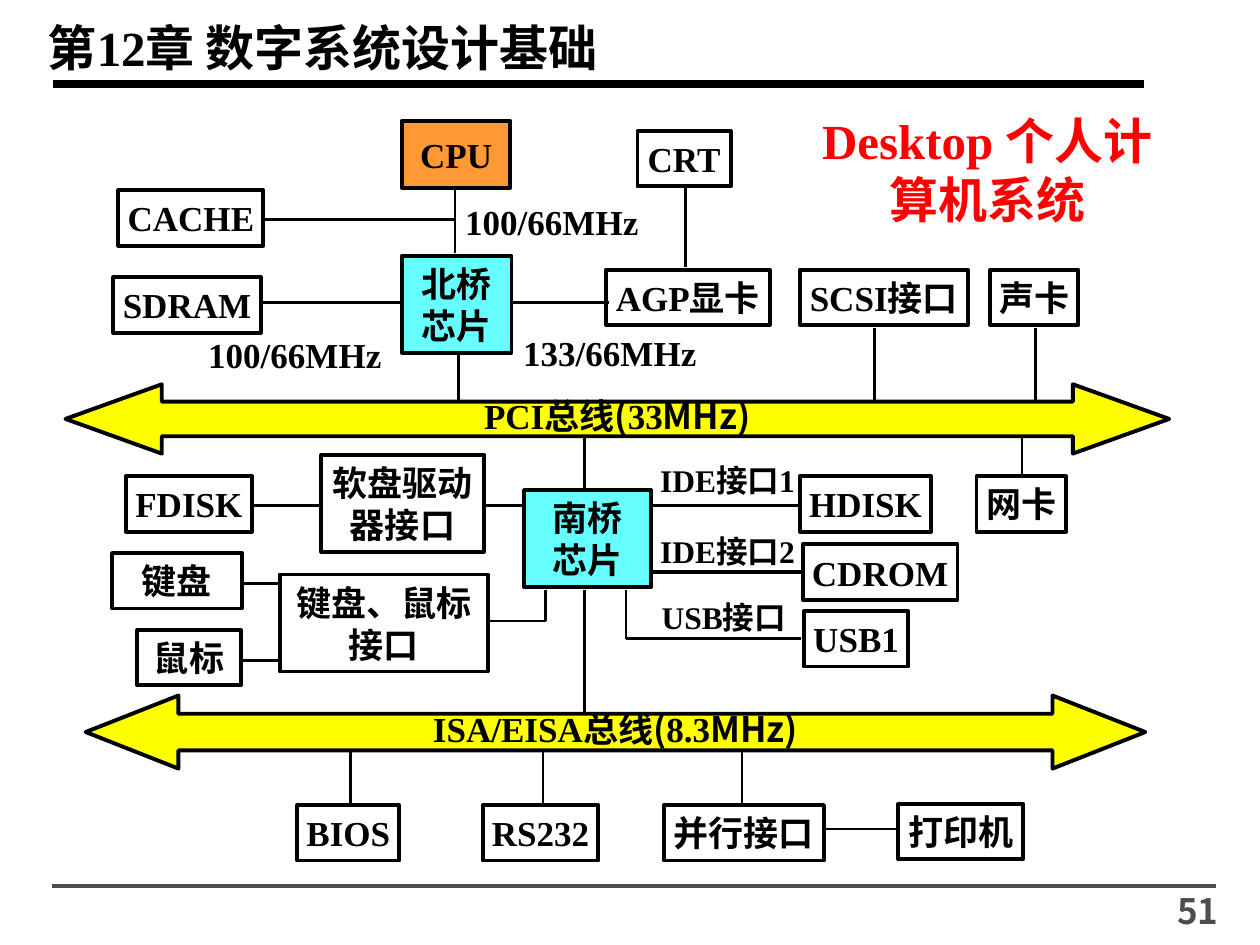
import pptx
import pptx.util
import pptx.dml.color
import pptx.enum.shapes
import pptx.enum.text
import pptx.oxml.ns
import lxml.etree

RGBColor = pptx.dml.color.RGBColor
MSO_SHAPE = pptx.enum.shapes.MSO_SHAPE
PP_ALIGN = pptx.enum.text.PP_ALIGN
MSO_ANCHOR = pptx.enum.text.MSO_ANCHOR
qn = pptx.oxml.ns.qn

BLACK = RGBColor(0x00, 0x00, 0x00)
GRAY = RGBColor(0x4D, 0x4D, 0x4D)
RED = RGBColor(0xFF, 0x00, 0x00)
ORANGE = RGBColor(0xFF, 0x99, 0x33)
CYAN = RGBColor(0x66, 0xFF, 0xFF)
YELLOW = RGBColor(0xFF, 0xFF, 0x00)

LATIN = "Times New Roman"
HAN = "Noto Sans CJK SC"

COLUMNS, ROWS = 100, 75
WIDTH, HEIGHT = pptx.util.Inches(10), pptx.util.Inches(7.5)
ONE_LINE, TWO_LINES = 4.4, 7.7

BOXES = [
    ("CACHE", 9.4, 15.1, 11.5), ("SDRAM", 9, 22, 11.7),
    ("CRT", 50.6, 10.4, 7.4), ("AGP显卡", 48.1, 21.4, 13),
    ("SCSI接口", 63.5, 21.4, 13.3), ("声卡", 78.6, 21.4, 7),
    ("FDISK", 10, 37.8, 10), ("键盘", 8.9, 43.9, 10.3), ("鼠标", 10.9, 50, 8.2),
    ("HDISK", 63.5, 37.8, 10.4), ("CDROM", 63.7, 43.2, 12.3),
    ("USB1", 63.8, 48.5, 8.3), ("网卡", 77.5, 37.8, 7.1),
    ("BIOS", 23.6, 63.9, 8.1), ("RS232", 38.3, 63.9, 9.2),
    ("并行接口", 52.7, 63.9, 12.7), ("打印机", 71.3, 63.8, 9.9),
]
TALL_BOXES = [
    ("软盘驱动器接口", 25.5, 36.1, 12.9, None),
    ("键盘、鼠标接口", 22.2, 45.6, 16.5, None),
    ("南桥\n芯片", 41.6, 38.9, 10.1, CYAN),
    ("北桥\n芯片", 31.9, 20.3, 8.7, CYAN),
]
ACROSS = [
    (20.8, 36.1, 17.4), (20.6, 32, 24), (40.6, 48.3, 24),
    (51.7, 63.6, 40.1), (49.7, 63.6, 50.7), (38.3, 41.7, 40.1),
    (38.6, 43.3, 49.3), (20, 25.6, 40.1), (19.2, 22.2, 46.3),
    (19.2, 22.2, 52.4), (65.3, 71.4, 65.8),
]
DOWN = [
    (36.1, 14.9, 20.1), (36.4, 28.2, 32.1), (54.4, 14.9, 21.2),
    (69.4, 26, 32.1), (82.2, 26, 32.1), (81.1, 34.6, 37.6),
    (46.4, 34.6, 38.7), (46.4, 46.8, 56.8), (49.7, 46.8, 50.7),
    (43.3, 46.8, 49.3), (27.8, 59.6, 63.7), (43.1, 59.6, 63.7),
    (58.9, 59.6, 63.7),
]
LABELS = [
    ("IDE接口1", 51.1, 36.6, 13.3, 3, 18, BLACK),
    ("IDE接口2", 51.1, 42.2, 13.3, 3, 18, BLACK),
    ("USB接口", 50.8, 47.5, 13.3, 3, 18, BLACK),
    ("100/66MHz", 35.8, 15.9, 16, 3.3, 20, BLACK),
    ("133/66MHz", 40.4, 26.3, 16, 3.3, 20, BLACK),
    ("100/66MHz", 15.4, 26.5, 16, 3.3, 20, BLACK),
    ("Desktop 个人计算机系统", 65.1, 8.8, 26.5, 9.3, 28, RED),
]


def col(n):
    return round(WIDTH * n / COLUMNS)


def row(n):
    return round(HEIGHT * n / ROWS)


def area(x, y, w, h):
    return col(x), row(y), col(w), row(h)


def set_frame(tf, anchor, side, edge):
    tf.word_wrap = True
    tf.auto_size = pptx.enum.text.MSO_AUTO_SIZE.NONE
    tf.vertical_anchor = anchor
    tf.margin_left = tf.margin_right = col(side)
    tf.margin_top = tf.margin_bottom = row(edge)


def style(p, size, color=BLACK, align=PP_ALIGN.CENTER, latin=LATIN):
    p.alignment = align
    f = p.font
    f.size, f.bold, f.name = pptx.util.Pt(size), True, latin
    f.color.rgb = color
    props = p._p.pPr.find(qn("a:defRPr"))
    lxml.etree.SubElement(props, qn("a:ea")).set("typeface", HAN)


def outlined(s, kind, x, y, w, h, fill):
    sp = s.shapes.add_shape(kind, *area(x, y, w, h))
    sp.shadow.inherit = False
    if fill is None:
        sp.fill.background()
    else:
        sp.fill.solid()
        sp.fill.fore_color.rgb = fill
    sp.line.color.rgb = BLACK
    sp.line.width = pptx.util.Pt(2.25)
    set_frame(sp.text_frame, MSO_ANCHOR.MIDDLE, 0, 0.5)
    return sp


def add_box(s, text, x, y, w, h=ONE_LINE, fill=None):
    tf = outlined(s, MSO_SHAPE.RECTANGLE, x, y, w, h, fill).text_frame
    tf.text = text
    for p in tf.paragraphs:
        style(p, 20)


def add_bus(s, name, speed, x, y, w, h, head):
    sp = outlined(s, MSO_SHAPE.LEFT_RIGHT_ARROW, x, y, w, h, YELLOW)
    sp.adjustments[0], sp.adjustments[1] = 0.5, head
    p = sp.text_frame.paragraphs[0]
    p.line_spacing = 0.85
    style(p, 20)
    for text, font in ((name, LATIN), ("总线(", HAN), (speed, LATIN), ("MHz)", HAN)):
        r = p.add_run()
        r.text = text
        r.font.name = font


def add_line(s, x1, y1, x2, y2, width=1.5, color=BLACK):
    ln = s.shapes.add_connector(pptx.enum.shapes.MSO_CONNECTOR.STRAIGHT,
                                col(x1), row(y1), col(x2), row(y2))
    ln.line.color.rgb = color
    ln.line.width = pptx.util.Pt(width)
    lxml.etree.SubElement(ln._element.spPr, qn("a:effectLst"))


def add_label(s, text, x, y, w, h, size, color):
    tf = s.shapes.add_textbox(*area(x, y, w, h)).text_frame
    set_frame(tf, MSO_ANCHOR.MIDDLE, 0, 0)
    tf.text = text
    style(tf.paragraphs[0], size, color)


def add_title(s, text):
    sp = s.shapes.title
    sp.left, sp.top, sp.width, sp.height = area(2.8, 0.9, 62.4, 5.7)
    set_frame(sp.text_frame, MSO_ANCHOR.TOP, 1, 0.5)
    sp.text_frame.text = text
    style(sp.text_frame.paragraphs[0], 28, align=PP_ALIGN.LEFT)


def add_page_number(s, text):
    tf = s.shapes.add_textbox(*area(83.8, 70.1, 13.9, 3.9)).text_frame
    set_frame(tf, MSO_ANCHOR.TOP, 1, 0.5)
    tf.text = text
    style(tf.paragraphs[0], 20, GRAY, PP_ALIGN.RIGHT, HAN)


def main():
    prs = pptx.Presentation()
    prs.slide_width, prs.slide_height = WIDTH, HEIGHT
    s = prs.slides.add_slide(prs.slide_layouts[5])
    add_title(s, "第12章 数字系统设计基础")
    add_line(s, 4.2, 6.7, 90.8, 6.7, 4.5)
    add_line(s, 4.1, 70.3, 96.5, 70.3, 2, GRAY)
    for x1, x2, y in ACROSS:
        add_line(s, x1, y, x2, y)
    add_line(s, 51.7, 45.4, 63.9, 45.4, 2.25)
    for x, y1, y2 in DOWN:
        add_line(s, x, y1, x, y2)
    add_box(s, "CPU", 31.9, 9.6, 8.6, 5.3, ORANGE)
    for box in BOXES:
        add_box(s, *box)
    for text, x, y, w, fill in TALL_BOXES:
        add_box(s, text, x, y, w, TWO_LINES, fill)
    for label in LABELS:
        add_label(s, *label)
    add_bus(s, "PCI", "33", 5.2, 30.5, 87.6, 5.5, 1.39)
    add_bus(s, "ISA/EISA", "8.3", 6.8, 55.2, 84.1, 5.8, 1.27)
    add_page_number(s, "51")
    prs.save("out.pptx")


if __name__ == "__main__":
    main()
